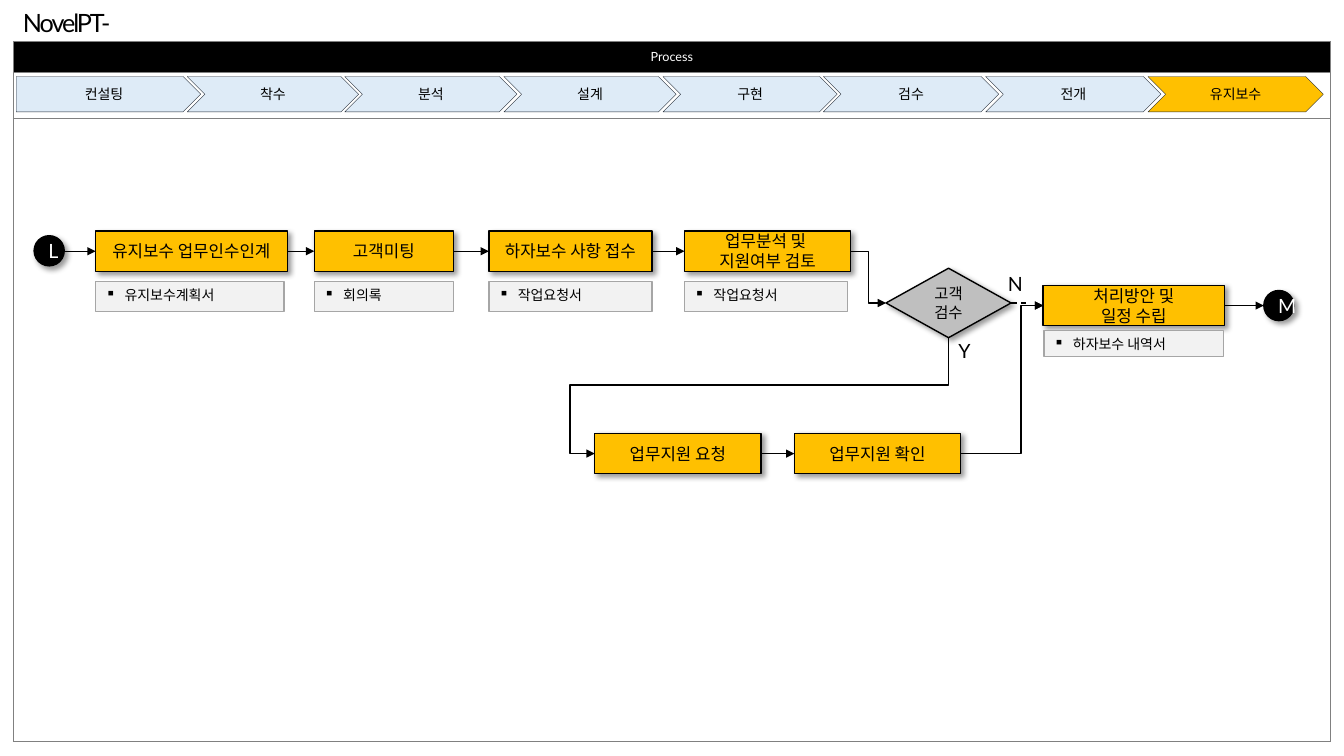
from lxml import etree
from pptx import Presentation
from pptx.dml.color import RGBColor
from pptx.enum.dml import MSO_LINE
from pptx.enum.shapes import MSO_CONNECTOR, MSO_SHAPE
from pptx.enum.text import MSO_ANCHOR, PP_ALIGN
from pptx.oxml.ns import qn
from pptx.util import Cm, Pt

RECT, OVAL, DIAMOND = MSO_SHAPE.RECTANGLE, MSO_SHAPE.OVAL, MSO_SHAPE.DIAMOND
CHEVRON, PENTAGON = MSO_SHAPE.CHEVRON, MSO_SHAPE.PENTAGON
STRAIGHT, ELBOW = MSO_CONNECTOR.STRAIGHT, MSO_CONNECTOR.ELBOW
LEFT, CENTER = PP_ALIGN.LEFT, PP_ALIGN.CENTER
TOP, MIDDLE = MSO_ANCHOR.TOP, MSO_ANCHOR.MIDDLE
DASH = MSO_LINE.DASH

BLACK = RGBColor(0x00, 0x00, 0x00)
WHITE = RGBColor(0xFF, 0xFF, 0xFF)
GOLD = RGBColor(0xFF, 0xC0, 0x00)
SKY = RGBColor(0xDE, 0xEB, 0xF7)
NAVY = RGBColor(0x22, 0x2A, 0x35)
SILVER = RGBColor(0xBF, 0xBF, 0xBF)
PALE = RGBColor(0xF2, 0xF2, 0xF2)
GRAY = RGBColor(0xA6, 0xA6, 0xA6)
FONT, DOC_FONT = "Lato", "Noto Sans CJK KR"

# Content, lengths in cm
TITLE = "NovelPT-"
HEAD = "Process"
ROWS = (0.79, 1.14, 15.7)
PHASES = [  # text, left, width
    ("컨설팅", 0.41, 4.65), ("착수", 4.72, 4.32), ("분석", 8.69, 4.34),
    ("설계", 12.7, 4.34), ("구현", 16.71, 4.39), ("검수", 20.75, 4.42),
    ("전개", 24.84, 4.42), ("유지보수", 28.93, 4.42),
]
STEP_H = 1.02
MAIN_Y, HELP_Y, PLAN_Y = 5.82, 10.92, 7.19
MAIN = [  # text, left, width, document, document width
    ("유지보수 업무인수인계", 2.41, 4.83, "유지보수계획서", 4.75),
    ("고객미팅", 7.92, 3.51, "회의록", 3.51),
    ("하자보수 사항 접수", 12.32, 4.11, "작업요청서", 4.11),
    ("업무분석 및 \n지원여부 검토", 17.25, 4.19, "작업요청서", 4.11),
]
HELP = [("업무지원 요청", 14.99, 4.19), ("업무지원 확인", 20.02, 4.19)]
PLAN = ("처리방안 및\n일정 수립", 26.29, 4.57)
PLAN_DOC = ("하자보수 내역서", 26.31, 8.33, 4.52, 0.66)
CHECK = ("고객검수", 22.33, 6.76, 3.15, 1.75)
DOT = 0.76
DOTS = [("L", 0.86, 5.94), ("M", 31.85, 7.32)]
MARKS = [("Y", 23.9, 8.41, 0.81), ("N", 25.15, 6.73, 0.89)]

deck = Presentation()
deck.slide_width, deck.slide_height = Cm(33.87), Cm(19.05)
slide = deck.slides.add_slide(deck.slide_layouts[6])
shapes = slide.shapes


def write(frame, text, size, color=BLACK, align=CENTER, font=FONT, bullet=""):
    frame.text = text
    for para in frame.paragraphs:
        para.alignment = align
        if bullet:
            props = para._p.get_or_add_pPr()
            props.set("marL", str(Cm(0.48)))
            props.set("indent", str(-Cm(0.48)))
            etree.SubElement(props, qn("a:buChar"), char=bullet)
        para.font.size = Pt(size)
        para.font.name = font
        para.font.color.rgb = color


def block(kind, text, x, y, w, h, fill, edge=BLACK, width=1, size=12,
          color=BLACK, shade=True):
    shape = shapes.add_shape(kind, Cm(x), Cm(y), Cm(w), Cm(h))
    shape.fill.solid()
    shape.fill.fore_color.rgb = fill
    shape.line.color.rgb = edge
    shape.line.width = Pt(width)
    shape.shadow.inherit = False
    if shade:
        glow = etree.SubElement(
            shape._element.spPr.find(qn("a:effectLst")), qn("a:outerShdw"),
            blurRad=str(Pt(4)), dist=str(Pt(3)), dir="2700000",
            algn="tl", rotWithShape="0")
        tint = etree.SubElement(glow, qn("a:srgbClr"), val="000000")
        etree.SubElement(tint, qn("a:alpha"), val="40000")
    shape.text_frame.vertical_anchor = MIDDLE
    write(shape.text_frame, text, size, color)
    return shape


def paper(text, x, y, w, h=0.76):
    frame = block(RECT, "", x, y, w, h, PALE, GRAY, shade=False).text_frame
    frame.vertical_anchor = TOP
    frame.clear()
    para = frame.paragraphs[0]._p
    para.remove(para.get_or_add_pPr())
    write(frame, text, 10, align=LEFT, font=DOC_FONT, bullet="▪")


def label(text, x, y, w, h, size):
    box = shapes.add_textbox(Cm(x), Cm(y), Cm(w), Cm(h))
    box.text_frame.word_wrap = False
    write(box.text_frame, text, size, align=LEFT)
    return box


def arrow(x1, y1, x2, y2, bends=(), dash=False):
    """Bends are shares of the span; two of them start the path downward."""
    down = len(bends) == 2
    if down:  # lay the path out sideways, then turn it
        midx, midy = (x1 + x2) / 2, (y1 + y2) / 2
        halfw, halfh = abs(y2 - y1) / 2, abs(x2 - x1) / 2
        x1, x2, y1, y2 = midx - halfw, midx + halfw, midy - halfh, midy + halfh
    link = shapes.add_connector(ELBOW if bends else STRAIGHT,
                                Cm(x1), Cm(y1), Cm(x2), Cm(y2))
    link.line.color.rgb = BLACK
    link.line.width = Pt(1)
    if dash:
        link.line.dash_style = DASH
    props = link._element.spPr
    etree.SubElement(props.find(qn("a:ln")), qn("a:tailEnd"), type="triangle")
    etree.SubElement(props, qn("a:effectLst"))
    form = props.find(qn("a:prstGeom"))
    for n, bend in enumerate(bends, 1):
        etree.SubElement(form.find(qn("a:avLst")), qn("a:gd"), name=f"adj{n}",
                         fmla=f"val {round(bend * 100000)}")
    if down:
        form.set("prst", "bentConnector4")
        link.rotation = 90


# Frame table
table = shapes.add_table(len(ROWS), 1, Cm(0.33), Cm(1.04),
                         Cm(33.2), Cm(sum(ROWS))).table
for row, height in zip(table.rows, ROWS):
    row.height = Cm(height)
    cell = row.cells[0]
    for side in ("lnL", "lnR", "lnT", "lnB"):
        edge = etree.SubElement(cell._tc.get_or_add_tcPr(), qn("a:" + side),
                                w=str(Pt(0.5)))
        ink = etree.SubElement(edge, qn("a:solidFill"))
        etree.SubElement(ink, qn("a:srgbClr"), val="808080")
    cell.fill.background()
top = table.cell(0, 0)
top.fill.solid()
top.fill.fore_color.rgb = BLACK
top.vertical_anchor = MIDDLE
write(top.text_frame, HEAD, 9, WHITE)

# Phase band
for n, (text, x, w) in enumerate(PHASES):
    block(CHEVRON if n else PENTAGON, text, x, 1.93, w, 0.89,
          GOLD if n == len(PHASES) - 1 else SKY, NAVY, 0.25, 10, shade=False)

# Steps, documents and end points
for text, x, w, doc, docw in MAIN:
    block(RECT, text, x, MAIN_Y, w, STEP_H, GOLD)
    paper(doc, x, 7.09, docw)
for text, x, w in HELP:
    block(RECT, text, x, HELP_Y, w, STEP_H, GOLD)
block(RECT, PLAN[0], PLAN[1], PLAN_Y, PLAN[2], STEP_H, GOLD)
paper(*PLAN_DOC)
check = block(DIAMOND, *CHECK, SILVER, size=11).text_frame
check.margin_left = check.margin_right = Cm(0.35)
for text, x, y in DOTS:
    block(OVAL, text, x, y, DOT, DOT, BLACK, size=14, color=WHITE)

# Straight arrows along each row
main_mid, help_mid, plan_mid = (y + STEP_H / 2 for y in (MAIN_Y, HELP_Y, PLAN_Y))
main_run = [(DOTS[0][1], DOT)] + [step[1:3] for step in MAIN]
help_run = [step[1:] for step in HELP]
plan_run = [PLAN[1:], (DOTS[1][1], DOT)]
for run, y in ((main_run, main_mid), (help_run, help_mid), (plan_run, plan_mid)):
    for (x, w), (goal, _) in zip(run, run[1:]):
        arrow(x + w, y, goal, y)

# Bent arrows around the check
_, cx, cy, cw, ch = CHECK
check_mid = cy + ch / 2
arrow(sum(main_run[-1]), main_mid, cx, check_mid, (0.5,))
arrow(cx + cw, check_mid, PLAN[1], plan_mid, (0.5,), dash=True)
arrow(sum(help_run[-1]), help_mid, PLAN[1], plan_mid, (0.73,))
arrow(cx + cw / 2, cy + ch, HELP[0][1], help_mid, (0.41, 1.07))

# Labels and title
for text, x, y, w in MARKS:
    label(text, x, y, w, 0.86, 14)
title = label(TITLE, 0.33, 0.05, 4.19, 1.02, 18)
title.text_frame.paragraphs[0].runs[0]._r.get_or_add_rPr().set("spc", "-150")

deck.save("out.pptx")
